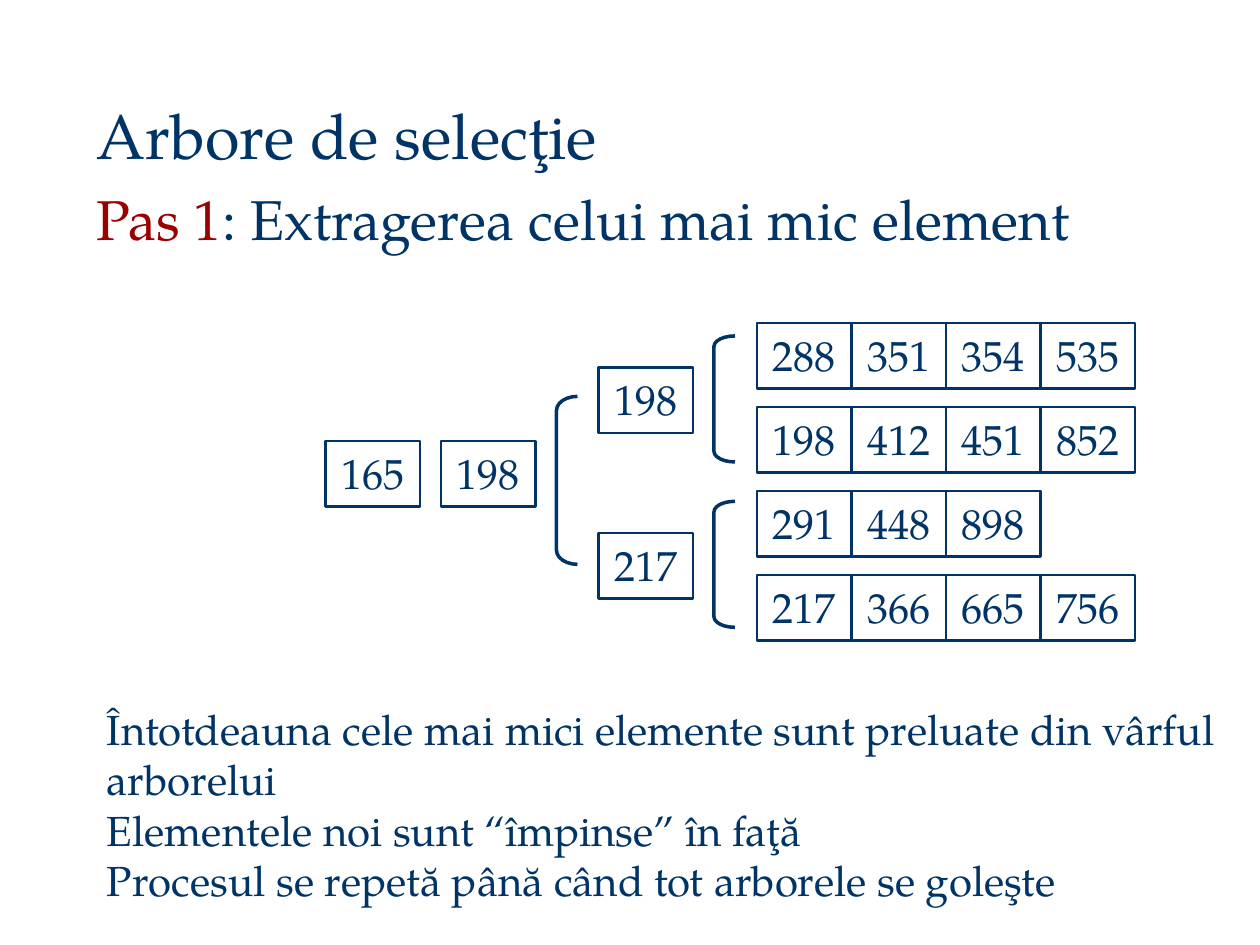
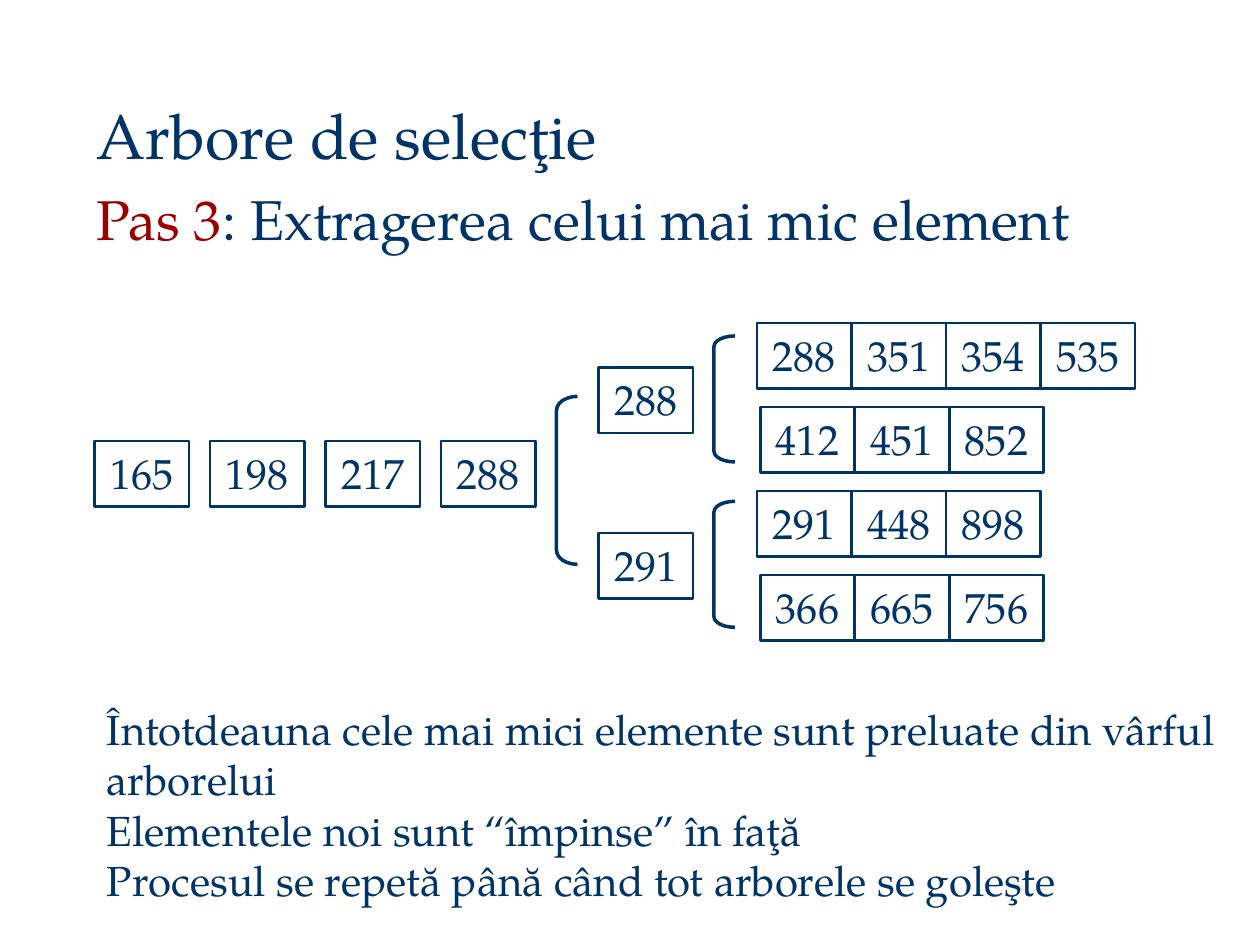
import pptx
import pptx.dml.color
import pptx.enum.shapes
import pptx.enum.text
import pptx.util
from pptx.enum.shapes import MSO_SHAPE
from pptx.enum.text import MSO_ANCHOR, MSO_AUTO_SIZE, PP_ALIGN

NAVY = pptx.dml.color.RGBColor(0x00, 0x33, 0x66)
RED = pptx.dml.color.RGBColor(0x9A, 0x00, 0x00)
WHITE = pptx.dml.color.RGBColor(0xFF, 0xFF, 0xFF)
FONT = "TeX Gyre Pagella"

# Grid of 120 columns by 90 rows on a 10 x 7.5 inch slide
COLUMNS, ROWS = 120, 90
NODE_WIDTH, NODE_HEIGHT = 9, 6.25
RUN_TOP, RUN_STEP = 30.75, 8
RUN_LEFT, SHORTENED_RUN_LEFT = 72.1, 72.4
WINNER_LEFT, WINNER_TOPS = 57, (35, 50.75)
OUTPUT_TOP, OUTPUT_LAST_LEFT, OUTPUT_STEP = 42, 42, 11
# Brackets: left, top, height, curve
BRACKETS = ((68, 32, 12, 0.5), (68, 47.75, 12, 0.5), (53, 37.75, 16, 0.67))

NOTES = (
    "Întotdeauna cele mai mici elemente sunt preluate din vârful arborelui",
    "Elementele noi sunt “împinse” în faţă",
    "Procesul se repetă până când tot arborele se goleşte",
)


class Deck:
    """Holds the shared style and the slide being drawn."""

    def __init__(self):
        self.presentation = pptx.Presentation()
        self.presentation.slide_width = pptx.util.Inches(10)
        self.presentation.slide_height = pptx.util.Inches(7.5)
        self.slide = None

    def box(self, left, top, width, height):
        column = self.presentation.slide_width / COLUMNS
        row = self.presentation.slide_height / ROWS
        return (round(left * column), round(top * row),
                round(width * column), round(height * row))

    def place(self, shape, left, top, width, height):
        shape.left, shape.top, shape.width, shape.height = self.box(
            left, top, width, height)

    def style(self, paragraph, size, align=PP_ALIGN.LEFT):
        paragraph.alignment = align
        paragraph.space_before = pptx.util.Pt(0)
        paragraph.font.name = FONT
        paragraph.font.size = pptx.util.Pt(size)
        paragraph.font.color.rgb = NAVY

    def new_slide(self):
        layout = self.presentation.slide_layouts[0]
        self.slide = self.presentation.slides.add_slide(layout)

    def title(self, text):
        title = self.slide.shapes.title
        self.place(title, 8, 8.5, 112, 8.5)
        frame = title.text_frame
        frame.text = text
        frame.vertical_anchor = MSO_ANCHOR.BOTTOM
        frame.auto_size = MSO_AUTO_SIZE.NONE
        self.style(frame.paragraphs[0], 36)

    def subtitle(self, step, text):
        body = self.slide.placeholders[1]
        self.place(body, 8, 17, 111, 68)
        frame = body.text_frame
        frame.vertical_anchor = MSO_ANCHOR.TOP
        frame.auto_size = MSO_AUTO_SIZE.NONE
        paragraph = frame.paragraphs[0]
        for words, color in ((step, RED), (text, NAVY)):
            run = paragraph.add_run()
            run.text = words
            run.font.color.rgb = color
        self.style(paragraph, 32)

    def notes(self, lines):
        text_box = self.slide.shapes.add_textbox(*self.box(9, 66.4, 112, 20.6))
        frame = text_box.text_frame
        frame.word_wrap = True
        frame.text = "\n".join(lines)
        for paragraph in frame.paragraphs:
            self.style(paragraph, 24)

    def node(self, value, left, top, shapes=None):
        shapes = shapes or self.slide.shapes
        node = shapes.add_shape(MSO_SHAPE.RECTANGLE,
                                *self.box(left, top, NODE_WIDTH, NODE_HEIGHT))
        node.shadow.inherit = False
        node.fill.solid()
        node.fill.fore_color.rgb = WHITE
        node.line.color.rgb = NAVY
        node.line.width = pptx.util.Pt(1.5)
        frame = node.text_frame
        frame.text = str(value)
        frame.vertical_anchor = MSO_ANCHOR.TOP
        self.style(frame.paragraphs[0], 24, PP_ALIGN.CENTER)

    def sorted_run(self, values, left, top):
        group = self.slide.shapes.add_group_shape()
        for index, value in enumerate(values):
            self.node(value, left + index * NODE_WIDTH, top, group.shapes)

    def bracket(self, left, top, height, curve):
        bracket = self.slide.shapes.add_shape(
            MSO_SHAPE.LEFT_BRACKET, *self.box(left, top, 2, height))
        bracket.adjustments[0] = curve
        bracket.shadow.inherit = False
        bracket.fill.background()
        bracket.line.color.rgb = NAVY
        bracket.line.width = pptx.util.Pt(2)

    def selection_tree(self, runs, winners, output):
        # Sorted runs on the right
        for index, (left, values) in enumerate(runs):
            self.sorted_run(values, left, RUN_TOP + index * RUN_STEP)
        # Winner of each pair of runs
        for value, top in zip(winners, WINNER_TOPS):
            self.node(value, WINNER_LEFT, top)
        for bracket in BRACKETS:
            self.bracket(*bracket)
        # Output, newest element nearest the tree
        for index, value in enumerate(reversed(output)):
            self.node(value, OUTPUT_LAST_LEFT - index * OUTPUT_STEP, OUTPUT_TOP)


# Each step: number, runs, winners, output
STEPS = (
    (1,
     ((RUN_LEFT, (288, 351, 354, 535)),
      (RUN_LEFT, (198, 412, 451, 852)),
      (RUN_LEFT, (291, 448, 898)),
      (RUN_LEFT, (217, 366, 665, 756))),
     (198, 217), (165, 198)),
    (3,
     ((RUN_LEFT, (288, 351, 354, 535)),
      (SHORTENED_RUN_LEFT, (412, 451, 852)),
      (RUN_LEFT, (291, 448, 898)),
      (SHORTENED_RUN_LEFT, (366, 665, 756))),
     (288, 291), (165, 198, 217, 288)),
)


def main():
    deck = Deck()
    for number, runs, winners, output in STEPS:
        deck.new_slide()
        deck.title("Arbore de selecţie")
        deck.subtitle(f"Pas {number}", ": Extragerea celui mai mic element")
        deck.notes(NOTES)
        deck.selection_tree(runs, winners, output)
    deck.presentation.save("out.pptx")


if __name__ == "__main__":
    main()
